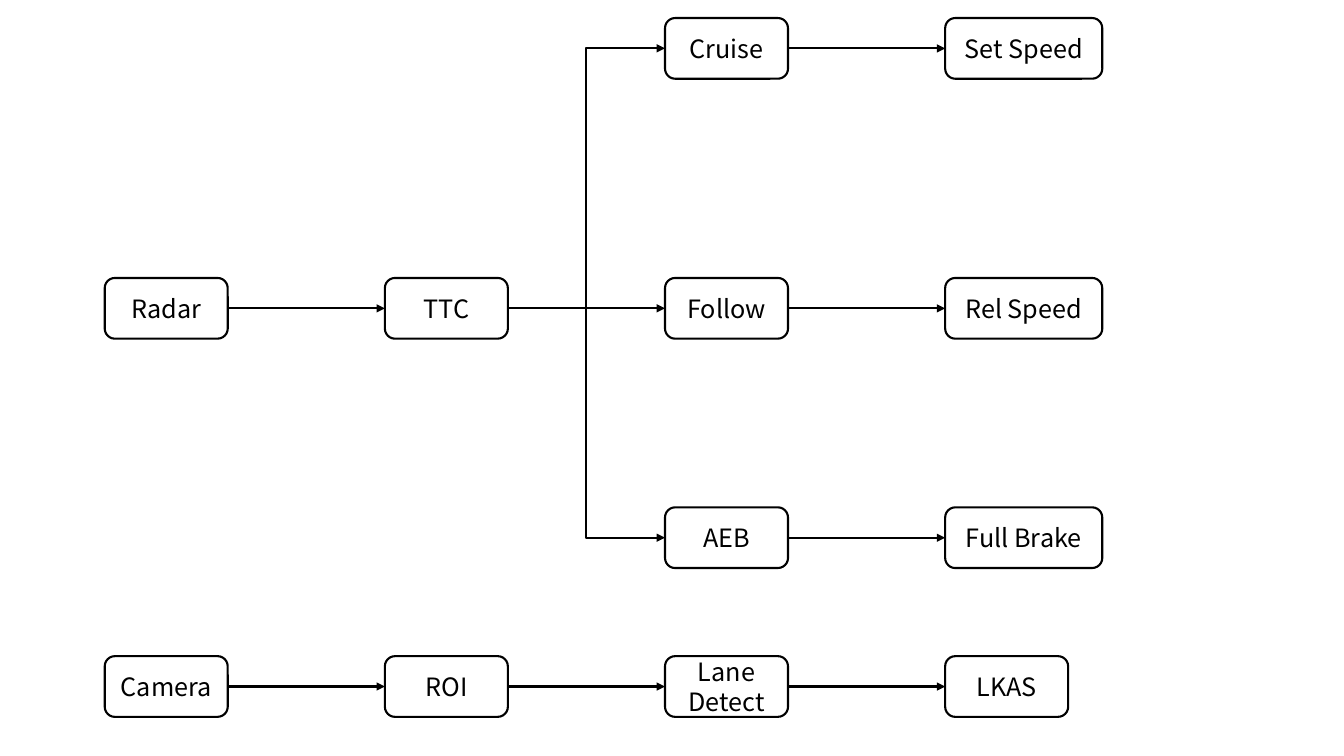
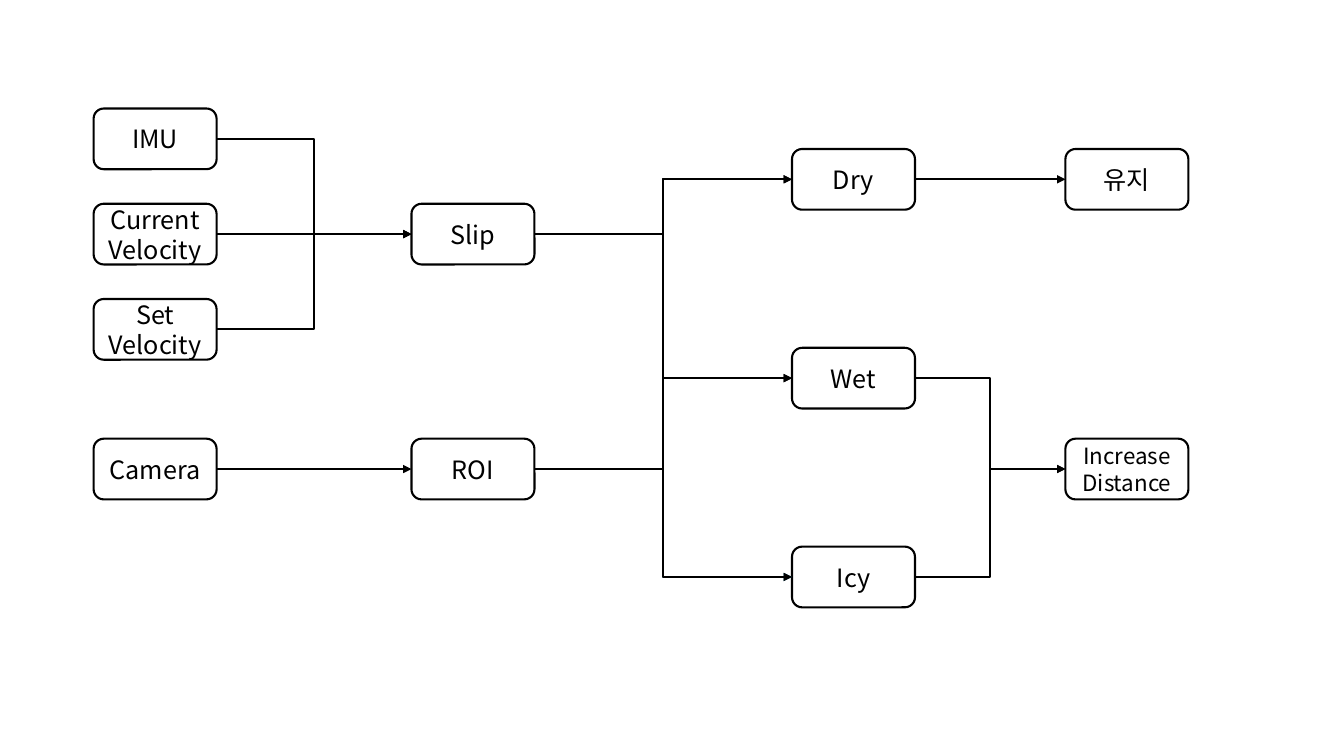
"""Build two block diagrams of driver-assistance logic."""
import pptx
import pptx.dml.color
import pptx.enum.shapes
import pptx.enum.text
import pptx.oxml.ns
import pptx.util
from lxml import etree

Cm = pptx.util.Cm
Pt = pptx.util.Pt

FONT = "Noto Sans CJK KR"
BLACK = "000000"
WHITE = "FFFFFF"
TEAL = "156082"
BOX_WIDTH, WIDE_WIDTH, BOX_HEIGHT = 3.1, 3.96, 1.53
TEXT_SIZE = 18
LINE_WIDTH = 1.5
LEFT_SITE, RIGHT_SITE = 1, 3

DIAGRAMS = [
    {
        "columns": [2.64 + 7.06 * column for column in range(4)],
        "rows": {"top": 1.22, "middle": 7.77, "bottom": 13.55, "camera": 17.3},
        "boxes": [
            ("Radar", 0, "middle"),
            ("TTC", 1, "middle"),
            ("Follow", 2, "middle"),
            ("Cruise", 2, "top"),
            ("AEB", 2, "bottom"),
            ("Rel Speed", 3, "middle"),
            ("Set Speed", 3, "top"),
            ("Full Brake", 3, "bottom"),
            ("Camera", 0, "camera"),
            ("ROI", 1, "camera"),
            ("Lane Detect", 2, "camera"),
            ("LKAS", 3, "camera"),
        ],
        "wide": ["Rel Speed", "Set Speed", "Full Brake"],
        "text_sizes": {},
        "arrows": [
            (["Radar"], ["TTC"]),
            (["TTC"], ["AEB", "Cruise", "Follow"]),
            (["Cruise"], ["Set Speed"]),
            (["Follow"], ["Rel Speed"]),
            (["AEB"], ["Full Brake"]),
            (["Camera"], ["ROI"]),
            (["ROI"], ["Lane Detect"]),
            (["Lane Detect"], ["LKAS"]),
        ],
        "arrow_colors": {},
    },
    {
        "columns": [2.36, 10.37, 19.96, 26.85],
        "rows": {"imu": 3.5, "current": 5.9, "set": 8.3, "camera": 11.82,
                 "dry": 4.52, "wet": 9.53, "icy": 14.54},
        "boxes": [
            ("IMU", 0, "imu"),
            ("Camera", 0, "camera"),
            ("Current\vVelocity", 0, "current"),
            ("Set Velocity", 0, "set"),
            ("Slip", 1, "current"),
            ("ROI", 1, "camera"),
            ("Wet", 2, "wet"),
            ("Dry", 2, "dry"),
            ("Icy", 2, "icy"),
            ("유지", 3, "dry"),
            ("Increase Distance", 3, "camera"),
        ],
        "wide": [],
        "text_sizes": {"Increase Distance": 16},
        "arrows": [
            (["IMU", "Set Velocity", "Current\vVelocity"], ["Slip"]),
            (["Slip"], ["Dry", "Icy", "Wet"]),
            (["Camera"], ["ROI"]),
            (["ROI"], ["Dry", "Wet", "Icy"]),
            (["Dry"], ["유지"]),
            (["Wet", "Icy"], ["Increase Distance"]),
        ],
        "arrow_colors": {("Slip", "Icy"): TEAL},
    },
]


def color(value):
    return pptx.dml.color.RGBColor.from_string(value)


def add_child(parent, tag, **attributes):
    return etree.SubElement(parent, pptx.oxml.ns.qn(tag), **attributes)


def style_line(line, value):
    line.color.rgb = color(value)
    line.width = Pt(LINE_WIDTH)


def add_box(slide, text, left, middle, width, size):
    shape = slide.shapes.add_shape(
        pptx.enum.shapes.MSO_SHAPE.ROUNDED_RECTANGLE,
        Cm(left), Cm(middle - BOX_HEIGHT / 2), Cm(width), Cm(BOX_HEIGHT))
    shape.shadow.inherit = False
    shape.fill.background()
    style_line(shape.line, BLACK)
    text_frame = shape.text_frame
    text_frame.word_wrap = True
    text_frame.vertical_anchor = pptx.enum.text.MSO_ANCHOR.MIDDLE
    text_frame.text = text
    paragraph = text_frame.paragraphs[0]
    paragraph.alignment = pptx.enum.text.PP_ALIGN.CENTER
    for run in paragraph.runs:
        run.font.size = Pt(size)
        run.font.name = FONT
        run.font.color.rgb = color(BLACK)
        add_child(run.font._element, "a:ea", typeface=FONT)
    return shape


def add_arrow(slide, source, target, straight, value):
    kinds = pptx.enum.shapes.MSO_CONNECTOR
    connector = slide.shapes.add_connector(
        kinds.STRAIGHT if straight else kinds.ELBOW, 0, 0, 0, 0)
    connector.begin_connect(source, RIGHT_SITE)
    connector.end_connect(target, LEFT_SITE)
    style_line(connector.line, value)
    add_child(connector.line._get_or_add_ln(), "a:tailEnd", type="triangle")
    add_child(connector._element.spPr, "a:effectLst")


def build_diagram(presentation, diagram):
    slide = presentation.slides.add_slide(presentation.slide_layouts[6])
    slide.background.fill.solid()
    slide.background.fill.fore_color.rgb = color(WHITE)
    shapes, box_rows = {}, {}
    for text, column, row in diagram["boxes"]:
        width = WIDE_WIDTH if text in diagram["wide"] else BOX_WIDTH
        size = diagram["text_sizes"].get(text, TEXT_SIZE)
        shapes[text] = add_box(slide, text, diagram["columns"][column],
                               diagram["rows"][row], width, size)
        box_rows[text] = row
    for sources, targets in diagram["arrows"]:
        for source in sources:
            for target in targets:
                value = diagram["arrow_colors"].get((source, target), BLACK)
                add_arrow(slide, shapes[source], shapes[target],
                          box_rows[source] == box_rows[target], value)


def main():
    presentation = pptx.Presentation()
    presentation.slide_width = Cm(33.87)
    presentation.slide_height = Cm(19.05)
    for diagram in DIAGRAMS:
        build_diagram(presentation, diagram)
    presentation.save("out.pptx")


if __name__ == "__main__":
    main()
